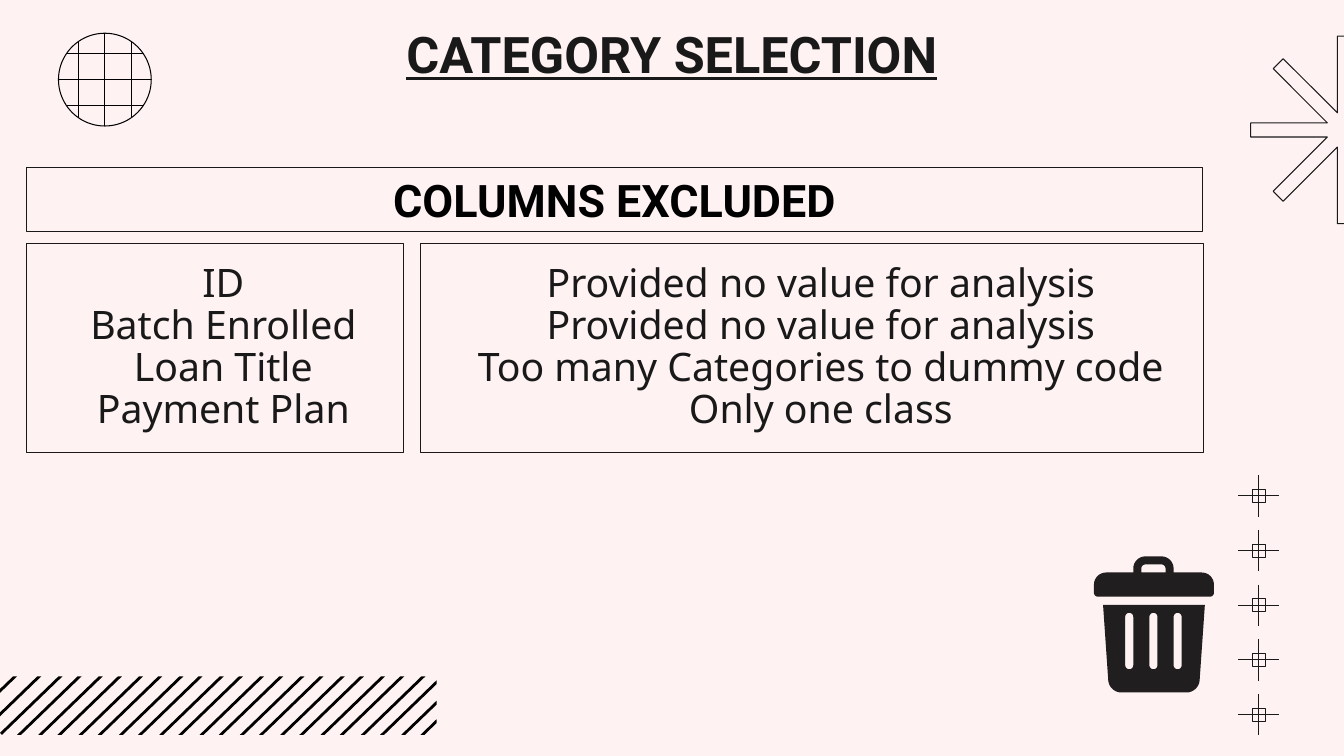
import math
from dataclasses import dataclass

from pptx import Presentation
from pptx import util as u
from pptx.dml.color import RGBColor
from pptx.enum import shapes, text
from pptx.oxml.ns import qn

PX = 9144  # EMU in one px: 100 px to the inch


@dataclass(frozen=True)
class Theme:
    background: str = "FEF2F3"
    ink: str = "191919"
    black: str = "000000"
    icon: str = "201E1E"
    heading_font: str = "Roboto"
    body_font: str = "Noto Sans"
    title_size: int = 36
    header_size: int = 32
    body_size: int = 28
    line_width: float = 0.75


THEME = Theme()


def emu(*lengths):
    return [round(length * PX) for length in lengths]


def paint(shape, fill=None, line=None):
    if fill:
        shape.fill.solid()
        shape.fill.fore_color.rgb = RGBColor.from_string(fill)
    else:
        shape.fill.background()
    if line:
        shape.line.color.rgb = RGBColor.from_string(line)
        shape.line.width = u.Pt(THEME.line_width)
    else:
        shape.line.fill.background()


def place(shape, left, top, width, height):
    shape.left, shape.top, shape.width, shape.height = emu(left, top, width, height)


def write(shape, lines, *, font, size, color, bold=False, underline=False,
          inset=10, spacing=1.0, hanging=False):
    frame = shape.text_frame
    frame.word_wrap = True
    frame.auto_size = text.MSO_AUTO_SIZE.NONE
    frame.vertical_anchor = text.MSO_ANCHOR.MIDDLE
    frame.margin_left = frame.margin_right = frame.margin_top = frame.margin_bottom = inset * PX
    frame.text = "\n".join(lines)
    for paragraph in frame.paragraphs:
        paragraph.alignment = text.PP_ALIGN.CENTER
        paragraph.space_before = paragraph.space_after = u.Pt(0)
        paragraph.line_spacing = spacing
        properties = paragraph._p.get_or_add_pPr()
        properties.set("marL", str(50 * PX if hanging else 0))
        properties.set("indent", str(-33 * PX if hanging else 0))
        properties.append(properties.makeelement(qn("a:buNone"), {}))
        run_font = paragraph.runs[0].font
        run_font.name, run_font.size = font, u.Pt(size)
        run_font.bold, run_font.underline = bold, underline
        run_font.color.rgb = RGBColor.from_string(color)


def add_preset(slide, kind, left, top, width, height, line):
    shape = slide.shapes.add_shape(kind, *emu(left, top, width, height))
    shape.shadow.inherit = False
    paint(shape, line=line)
    return shape


def add_line(slide, x1, y1, x2, y2, color):
    connector = slide.shapes.add_connector(
        shapes.MSO_CONNECTOR.STRAIGHT, *emu(x1, y1, x2, y2))
    connector.line.color.rgb = RGBColor.from_string(color)
    connector.line.width = u.Pt(THEME.line_width)
    properties = connector._element.spPr
    properties.append(properties.makeelement(qn("a:effectLst"), {}))


def add_outline(slide, *contours, fill=None, line=None):
    """Draw closed contours as one shape; an inner contour is a hole."""
    first, *others = [[emu(*point) for point in contour] for contour in contours]
    builder = slide.shapes.build_freeform(*first[0], scale=1.0)
    builder.add_line_segments(first[1:])
    for contour in others:
        builder.move_to(*contour[0])
        builder.add_line_segments(contour[1:])
    shape = builder.convert_to_shape()
    shape.shadow.inherit = False
    paint(shape, fill, line)


def rounded(corners, steps=8):
    """Turn (x, y, radius) corners into points along rounded corners."""
    points = []
    for index, (x, y, radius) in enumerate(corners):
        if not radius:
            points.append((x, y))
            continue
        ends = []
        for neighbour in (corners[index - 1], corners[(index + 1) % len(corners)]):
            dx, dy = neighbour[0] - x, neighbour[1] - y
            length = math.hypot(dx, dy)
            ends.append((dx / length * radius, dy / length * radius))
        (ax, ay), (bx, by) = ends
        for step in range(steps + 1):
            angle = step / steps * math.pi / 2
            a, b = 1 - math.sin(angle), 1 - math.cos(angle)
            points.append((x + a * ax + b * bx, y + a * ay + b * by))
    return points


def add_starburst(slide, center_x, center_y):
    points = []
    for arm in range(8):
        cos, sin = math.cos(arm * math.pi / 4), math.sin(arm * math.pi / 4)
        for along, across in ((17, -7), (93, -7), (93, 7)):
            points.append((center_x + along * cos - across * sin,
                           center_y + along * sin + across * cos))
    add_outline(slide, points, line=THEME.ink)


def add_globe(slide, center_x, center_y, radius):
    add_preset(slide, shapes.MSO_SHAPE.OVAL, center_x - radius, center_y - radius,
               2 * radius, 2 * radius, THEME.black)
    for offset in (-26, 0, 26):
        half = math.sqrt(radius ** 2 - offset ** 2)
        x, y = center_x + offset, center_y + offset
        add_line(slide, center_x - half, y, center_x + half, y, THEME.black)
        add_line(slide, x, center_y - half, x, center_y + half, THEME.black)


def add_crosshair(slide, x, y):
    add_line(slide, x - 20.5, y, x + 20.5, y, THEME.ink)
    add_line(slide, x, y - 20.5, x, y + 20.5, THEME.ink)
    add_preset(slide, shapes.MSO_SHAPE.RECTANGLE, x - 6.5, y - 6.5, 13, 13, THEME.ink)


def add_stripes(slide, right, top, height):
    """Draw slanted stripes, cut off at the slide's left side and at right."""
    run = 60

    def edge(start):
        ends = min(start, right), max(start - run, 0)
        return [(x, top + (start - x) * height / run) for x in ends]

    for start in [13] + [37 + 20 * i + i % 2 for i in range(23)]:
        add_outline(slide, edge(start) + edge(start + 4)[::-1], fill=THEME.black)


def add_trash_can(slide):
    can = [(1094, 600, 0), (1195, 600, 0), (1189, 687, 12), (1100, 687, 12)]
    slots = [[(x, 608, 4), (x + 8, 608, 4), (x + 8, 664, 4), (x, 664, 4)]
             for x in (1116, 1140, 1164)]
    lid = [(1085, 592, 4), (1085, 568, 12), (1124, 568, 0), (1124, 552, 12),
           (1164, 552, 12), (1164, 568, 0), (1204, 568, 12), (1204, 592, 4)]
    grip = [(1132, 568, 0), (1132, 560, 4), (1156, 560, 4), (1156, 568, 0)]
    for contours in ([can, *slots], [lid, grip]):
        add_outline(slide, *map(rounded, contours), fill=THEME.icon)


def main():
    presentation = Presentation()
    presentation.slide_width, presentation.slide_height = emu(1333, 750)
    slide = presentation.slides.add_slide(presentation.slide_layouts[1])
    slide.background.fill.solid()
    slide.background.fill.fore_color.rgb = RGBColor.from_string(THEME.background)

    add_starburst(slide, 1333.5, 129)
    add_globe(slide, 104, 79, 46)
    for row in range(5):
        add_crosshair(slide, 1248.5, 492 + 54.25 * row)
    add_stripes(slide, right=433, top=671, height=58)

    title = slide.shapes.title
    place(title, 104, 11, 1125, 84)
    write(title, ["CATEGORY SELECTION"], font=THEME.heading_font, size=THEME.title_size,
          color=THEME.ink, bold=True, underline=True, inset=13)

    rectangle = shapes.MSO_SHAPE.RECTANGLE
    header = add_preset(slide, rectangle, 26, 166, 1167, 64, THEME.ink)
    write(header, ["COLUMNS EXCLUDED"], font=THEME.heading_font, size=THEME.header_size,
          color=THEME.black, bold=True, inset=5)

    columns = slide.placeholders[1]
    place(columns, 26, 242, 374, 207)
    paint(columns, line=THEME.ink)
    reasons = add_preset(slide, rectangle, 417, 242, 777, 207, THEME.ink)
    for shape, lines in (
        (columns, ["ID", "Batch Enrolled", "Loan Title", "Payment Plan"]),
        (reasons, ["Provided no value for analysis", "Provided no value for analysis",
                   "Too many Categories to dummy code", "Only one class"]),
    ):
        write(shape, lines, font=THEME.body_font, size=THEME.body_size,
              color=THEME.ink, spacing=0.89, hanging=True)

    add_trash_can(slide)
    presentation.save("out.pptx")


if __name__ == "__main__":
    main()
